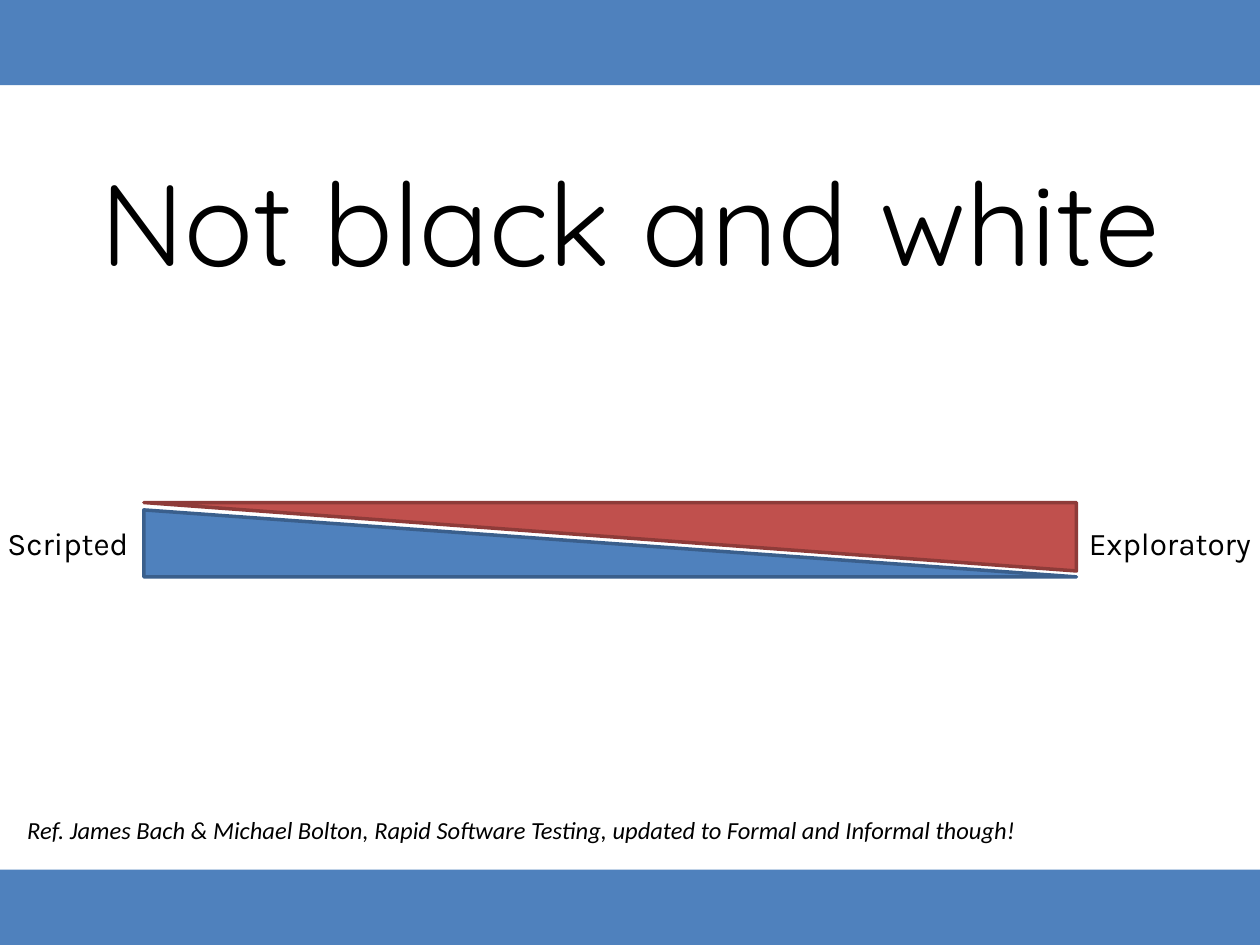
from dataclasses import dataclass

from pptx import Presentation
from pptx import util as u
from pptx.dml.color import RGBColor
from pptx.enum import shapes, text


@dataclass(frozen=True)
class Theme:
    """Colours, fonts and type sizes of the slide."""
    blue: str = "4F81BD"
    blue_edge: str = "3A5F8C"
    red: str = "C0504D"
    red_edge: str = "8E3B39"
    ink: str = "000000"
    title_font: str = "Quicksand"
    label_font: str = "Karla"
    note_font: str = "Calibri"
    title_size: int = 66
    label_size: int = 18
    note_size: int = 14


class SlideBuilder:
    """Holds the theme and the current slide and adds elements to it."""

    def __init__(self, page, theme):
        self.page = page
        self.theme = theme

    def shape(self, kind, place, fill, edge=None, rotation=0):
        """Add a filled preset shape, outlined when an edge colour is given."""
        item = self.page.shapes.add_shape(kind, *map(u.Cm, place))
        item.shadow.inherit = False
        item.rotation = rotation
        item.fill.solid()
        item.fill.fore_color.rgb = RGBColor.from_string(fill)
        if edge:
            item.line.color.rgb = RGBColor.from_string(edge)
            item.line.width = u.Pt(2)
        else:
            item.line.fill.background()

    def band(self, top, height):
        """Add a full-width blue band."""
        self.shape(shapes.MSO_SHAPE.RECTANGLE, (0, top, 25.4, height), self.theme.blue)

    def wedge(self, top, height, fill, edge, rotation=0):
        """Add one of the two facing triangles of the scale."""
        place = (2.9, top, 18.8, height)
        self.shape(shapes.MSO_SHAPE.RIGHT_TRIANGLE, place, fill, edge, rotation)

    def set_text(self, box, words, font, size, align, italic=False, wrap=True):
        """Set and format the text of a box."""
        frame = box.text_frame
        frame.text = words
        frame.word_wrap = wrap
        frame.auto_size = text.MSO_AUTO_SIZE.SHAPE_TO_FIT_TEXT
        para = frame.paragraphs[0]
        para.alignment = align
        span = para.runs[0]
        span.font.name = font
        span.font.size = u.Pt(size)
        span.font.italic = italic
        span.font.color.rgb = RGBColor.from_string(self.theme.ink)

    def title(self, words, place):
        """Place and fill the title placeholder."""
        box = self.page.shapes.title
        box.left, box.top, box.width, box.height = map(u.Cm, place)
        box.text_frame.vertical_anchor = text.MSO_ANCHOR.TOP
        self.set_text(box, words, self.theme.title_font, self.theme.title_size,
                      text.PP_ALIGN.CENTER)

    def label(self, words, left, width, align):
        """Add a label at one end of the scale."""
        box = self.page.shapes.add_textbox(*map(u.Cm, (left, 10.44, width, 1.02)))
        self.set_text(box, words, self.theme.label_font, self.theme.label_size, align)

    def note(self, words, place):
        """Add the italic reference line."""
        box = self.page.shapes.add_textbox(*map(u.Cm, place))
        self.set_text(box, words, self.theme.note_font, self.theme.note_size,
                      text.PP_ALIGN.LEFT, italic=True, wrap=False)


def main():
    """Build the slide and save the deck."""
    deck = Presentation()
    deck.slide_width, deck.slide_height = u.Cm(25.4), u.Cm(19.05)
    theme = Theme()
    builder = SlideBuilder(deck.slides.add_slide(deck.slide_layouts[5]), theme)

    builder.band(0, 1.72)
    builder.band(17.53, 1.52)
    builder.title("Not black and white", (0, 2.92, 25.4, 3.07))
    builder.wedge(10.28, 1.35, theme.blue, theme.blue_edge)
    builder.wedge(10.13, 1.38, theme.red, theme.red_edge, rotation=180)
    builder.label("Scripted", -0.36, 3.2, text.PP_ALIGN.RIGHT)
    builder.label("Exploratory", 21.7, 4, text.PP_ALIGN.LEFT)
    builder.note("Ref. James Bach & Michael Bolton, Rapid Software Testing, "
                 "updated to Formal and Informal though!", (0.3, 16.3, 20.65, 0.86))

    deck.save("out.pptx")


if __name__ == "__main__":
    main()
